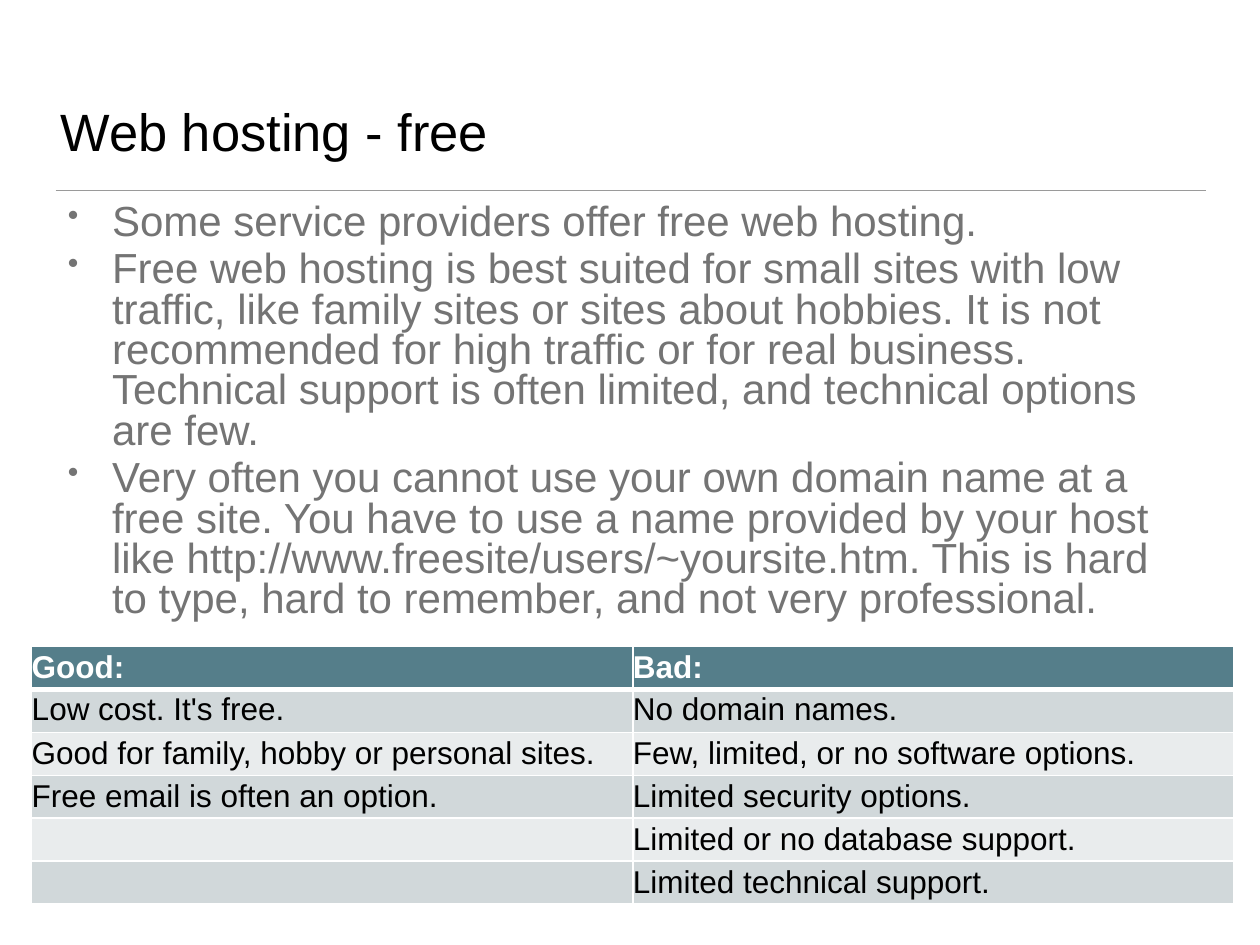
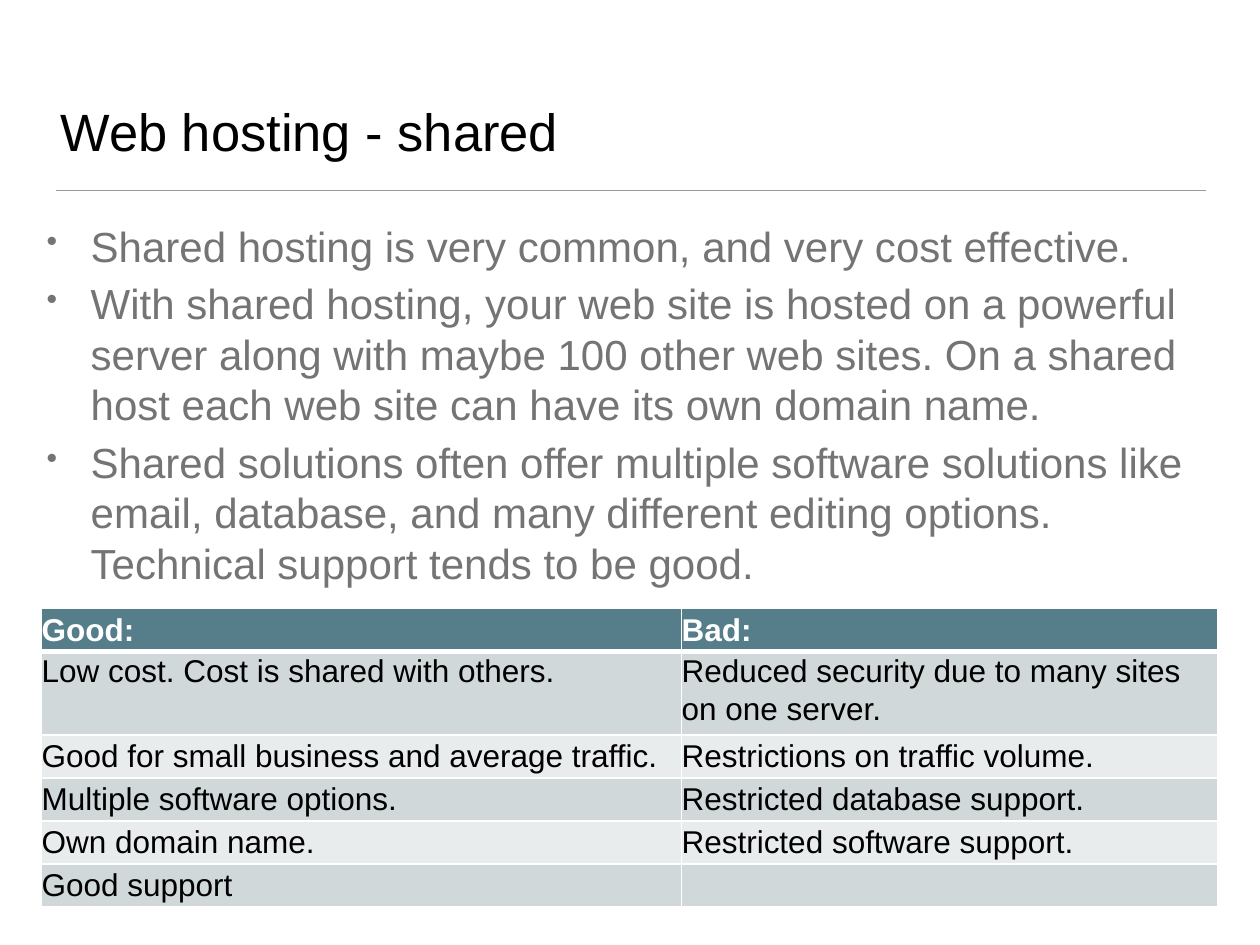
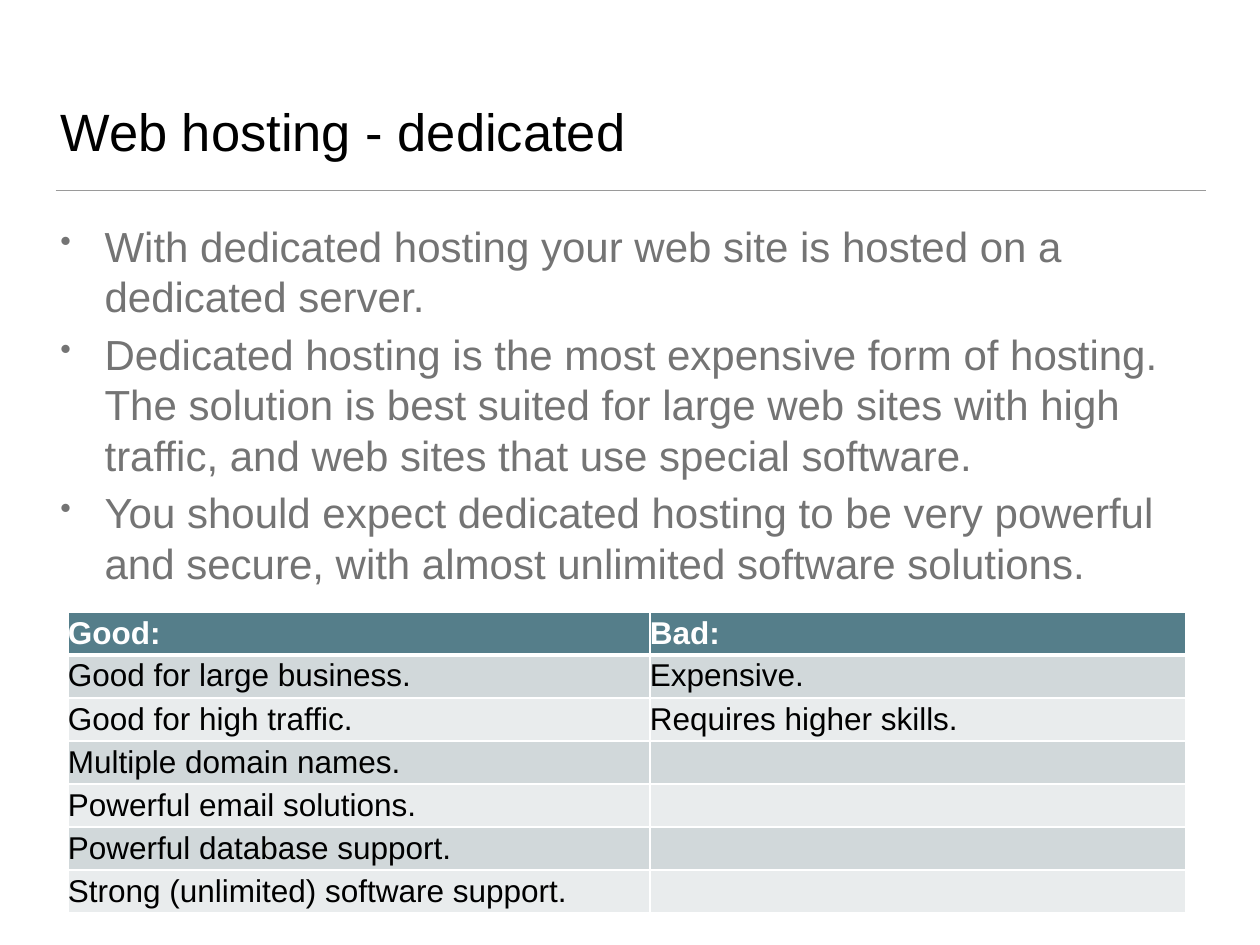
"""Build three slides that weigh up free, shared and dedicated web hosting."""
from itertools import zip_longest

from lxml.etree import SubElement
from pptx import Presentation
from pptx.dml.color import RGBColor
from pptx.enum.shapes import MSO_CONNECTOR
from pptx.enum.text import MSO_ANCHOR as ANCHOR
from pptx.oxml.ns import qn
from pptx.util import Cm, Pt

COLORS = {
    "title": "000000", "rule": "9A9A9A", "body": "747474",
    "header": "557E8A", "header_text": "FFFFFF", "cell_text": "000000",
    "odd_row": "D1D8DA", "even_row": "E9ECED", "border": "FFFFFF",
}
FONT = "Arial"
TITLE_BOX = (1.12, 0.64, 23.16, 2.72)
RULE_LEFT, RULE_RIGHT, RULE_TOP = 1.12, 24.31, 3.84
INSET, HANGING, ROW_HEIGHT = 0.1, 0.89, 0.81

HOSTING = [
    {
        "title": "Web hosting - free",
        "points": [
            "Some service providers offer free web hosting.",
            "Free web hosting is best suited for small sites with low traffic, like family sites or "
            "sites about hobbies. It is not recommended for high traffic or for real business. "
            "Technical support is often limited, and technical options are few.",
            "Very often you cannot use your own domain name at a free site. You have to use a name "
            "provided by your host like http://www.freesite/users/~yoursite.htm. This is hard to "
            "type, hard to remember, and not very professional.",
        ],
        "points_box": (1.27, 4.01, 22.86, 9.35),
        "line_spacing": 0.8,
        "good": ["Low cost. It's free.", "Good for family, hobby or personal sites.",
                 "Free email is often an option."],
        "bad": ["No domain names.", "Few, limited, or no software options.",
                "Limited security options.", "Limited or no database support.",
                "Limited technical support."],
        "table_at": (0.64, 13.03),
        "columns": (12.12, 12.12),
    },
    {
        "title": "Web hosting - shared",
        "points": [
            "Shared hosting is very common, and very cost effective.",
            "With shared hosting, your web site is hosted on a powerful server along with maybe 100 "
            "other web sites. On a shared host each web site can have its own domain name.",
            "Shared solutions often offer multiple software solutions like email, database, and many "
            "different editing options. Technical support tends to be good.",
        ],
        "points_box": (0.84, 4.34, 23.5, 13.03),
        "line_spacing": 1.0,
        "good": ["Low cost. Cost is shared with others.",
                 "Good for small business and average traffic.",
                 "Multiple software options.", "Own domain name.", "Good support"],
        "bad": ["Reduced security due to many sites on one server.",
                "Restrictions on traffic volume.", "Restricted database support.",
                "Restricted software support."],
        "table_at": (0.84, 12.27),
        "columns": (12.9, 10.8),
    },
    {
        "title": "Web hosting - dedicated",
        "points": [
            "With dedicated hosting your web site is hosted on a dedicated server.",
            "Dedicated hosting is the most expensive form of hosting. The solution is best suited for "
            "large web sites with high traffic, and web sites that use special software.",
            "You should expect dedicated hosting to be very powerful and secure, with almost "
            "unlimited software solutions.",
        ],
        "points_box": (1.12, 4.34, 23.16, 13.03),
        "line_spacing": 1.0,
        "good": ["Good for large business.", "Good for high traffic.", "Multiple domain names.",
                 "Powerful email solutions.", "Powerful database support.",
                 "Strong (unlimited) software support."],
        "bad": ["Expensive.", "Requires higher skills."],
        "table_at": (1.37, 12.34),
        "columns": (11.73, 10.8),
    },
]


def rgb(role):
    return RGBColor.from_string(COLORS[role])


def style(paragraph, size, role, bold=False):
    font = paragraph.font
    font.name, font.size, font.bold = FONT, Pt(size), bold
    font.color.rgb = rgb(role)


def add_text_frame(slide, box, anchor):
    frame = slide.shapes.add_textbox(*map(Cm, box)).text_frame
    frame.word_wrap = True
    frame.vertical_anchor = anchor
    frame.margin_left = frame.margin_right = Cm(INSET)
    frame.margin_top = frame.margin_bottom = Cm(INSET)
    return frame


def add_heading(slide, title):
    rule = slide.shapes.add_connector(
        MSO_CONNECTOR.STRAIGHT, Cm(RULE_LEFT), Cm(RULE_TOP), Cm(RULE_RIGHT), Cm(RULE_TOP))
    rule.line.color.rgb = rgb("rule")
    rule.line.width = Pt(1)
    SubElement(rule._element.spPr, qn("a:effectLst"))
    heading = add_text_frame(slide, TITLE_BOX, ANCHOR.BOTTOM).paragraphs[0]
    heading.text = title
    style(heading, 30, "title")


def add_points(slide, points, box, line_spacing):
    frame = add_text_frame(slide, box, ANCHOR.TOP)
    frame.text = "\n".join(points)
    for point in frame.paragraphs:
        properties = point._p.get_or_add_pPr()
        properties.set("marL", str(Cm(HANGING)))
        properties.set("indent", str(-Cm(HANGING)))
        SubElement(properties, qn("a:buSzPct"), val="75000")
        SubElement(properties, qn("a:buChar"), char="•")
        point.line_spacing = line_spacing
        point.space_before = Pt(4.2)
        style(point, 24, "body")


def add_borders(cell, is_header):
    properties = cell._tc.get_or_add_tcPr()
    for side in "LRTB":
        thick = (is_header and side == "B")
        line = SubElement(properties, qn(f"a:ln{side}"), w=str(Pt(3 if thick else 1)))
        fill = SubElement(line, qn("a:solidFill"))
        SubElement(fill, qn("a:srgbClr"), val=COLORS["border"])


def fill_cell(cell, text, row):
    is_header = row == 0
    add_borders(cell, is_header)
    cell.fill.solid()
    cell.fill.fore_color.rgb = rgb("header" if is_header else "odd_row" if row % 2 else "even_row")
    cell.margin_left = cell.margin_right = cell.margin_top = 0
    cell.margin_bottom = Cm(0.05)
    cell.vertical_anchor = ANCHOR.TOP if row == 1 else ANCHOR.MIDDLE
    entry = cell.text_frame.paragraphs[0]
    entry.text = text
    entry.line_spacing = 1.07
    entry.space_after = Pt(8)
    style(entry, 18, "header_text" if is_header else "cell_text", is_header)


def add_comparison(slide, good, bad, at, columns):
    rows = [("Good:", "Bad:"), *zip_longest(good, bad, fillvalue="")]
    table = slide.shapes.add_table(
        len(rows), len(columns), *map(Cm, at), Cm(sum(columns)), Cm(ROW_HEIGHT * len(rows))).table
    for column, width in zip(table.columns, columns):
        column.width = Cm(width)
    for r, texts in enumerate(rows):
        table.rows[r].height = Cm(ROW_HEIGHT)
        for c, text in enumerate(texts):
            fill_cell(table.cell(r, c), text, r)


def main():
    deck = Presentation()
    deck.slide_width, deck.slide_height = Cm(25.4), Cm(19.05)
    for plan in HOSTING:
        slide = deck.slides.add_slide(deck.slide_layouts[6])
        add_heading(slide, plan["title"])
        add_points(slide, plan["points"], plan["points_box"], plan["line_spacing"])
        add_comparison(slide, plan["good"], plan["bad"], plan["table_at"], plan["columns"])
    deck.save("out.pptx")


if __name__ == "__main__":
    main()
